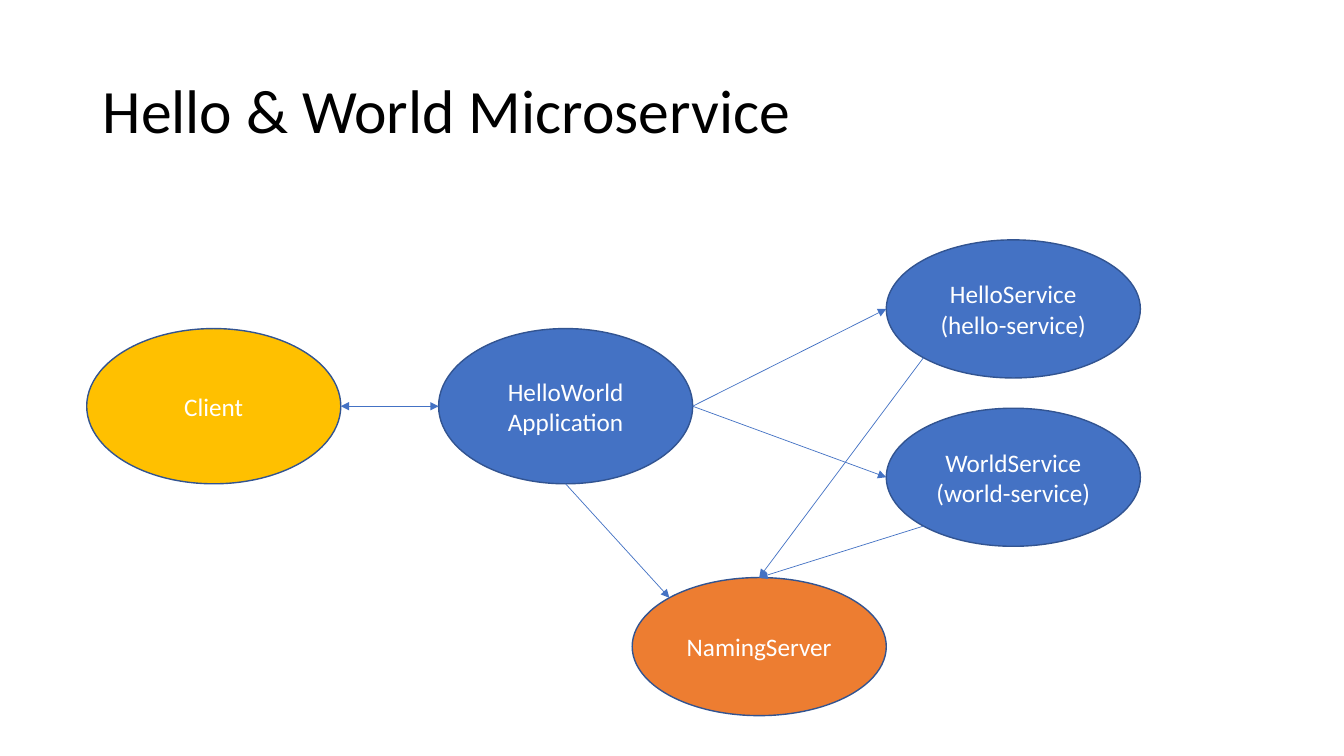
import math

import pptx
import pptx.dml.color
import pptx.enum.shapes
import pptx.enum.text
import pptx.oxml
import pptx.oxml.ns
import pptx.util

Inches = pptx.util.Inches
COLORS = {
    "title": "000000", "label": "FFFFFF", "outline": "325491", "arrow": "4472C4",
    "service": "4472C4", "client": "FFC000", "naming": "ED7D31",
}
TITLE_FORMAT = {"name": "Calibri", "size": pptx.util.Pt(44)}
LABEL_FORMAT = {"name": "Calibri", "size": pptx.util.Pt(18)}
NODE_WIDTH, TALL, SHORT = 2.52, 1.54, 1.37
NODES = {
    "hello": (7.93, 0, SHORT, "service", ["HelloService", "(hello-service)"]),
    "world": (7.93, 1.67, SHORT, "service", ["WorldService", "(world-service)"]),
    "naming": (5.41, 3.35, SHORT, "naming", ["NamingServer"]),
    "application": (3.49, 0.88, TALL, "service", ["HelloWorld", "Application"]),
    "client": (0, 0.88, TALL, "client", ["Client"]),
}
ANGLES = {"right": 0, "bottom": 90, "bottom left": 135, "left": 180, "top left": 225, "top": 270}
CALLS = [
    ("hello", "bottom left", "naming", "top", ["tailEnd"]),
    ("world", "bottom left", "naming", "top", ["tailEnd"]),
    ("application", "bottom", "naming", "top left", ["tailEnd"]),
    ("application", "right", "hello", "left", ["tailEnd"]),
    ("application", "right", "world", "left", ["tailEnd"]),
    ("client", "right", "application", "left", ["headEnd", "tailEnd"]),
]


def rgb(role):
    """Return the colour for a role."""
    return pptx.dml.color.RGBColor.from_string(COLORS[role])


def write_lines(frame, lines, text_format, role, align, spacing):
    """Write vertically centred paragraphs with one shared format."""
    frame.word_wrap = True
    frame.vertical_anchor = pptx.enum.text.MSO_ANCHOR.MIDDLE
    for index, line in enumerate(lines):
        paragraph = frame.add_paragraph() if index else frame.paragraphs[0]
        paragraph.alignment = align
        paragraph.line_spacing = spacing
        run = paragraph.add_run()
        run.text = line
        for attribute, value in text_format.items():
            setattr(run.font, attribute, value)
        run.font.color.rgb = rgb(role)


def add_title(slide, left, top, width, height):
    """Place the slide title in the given box."""
    title = slide.shapes.add_textbox(Inches(left), Inches(top), Inches(width), Inches(height))
    write_lines(title.text_frame, ["Hello & World Microservice"], TITLE_FORMAT, "title",
                pptx.enum.text.PP_ALIGN.LEFT, 0.9)


def add_node(slide, left, top, height, role, lines):
    """Place one labelled ellipse."""
    node = slide.shapes.add_shape(pptx.enum.shapes.MSO_SHAPE.OVAL, Inches(left), Inches(top),
                                  Inches(NODE_WIDTH), Inches(height))
    node.shadow.inherit = False
    node.fill.solid()
    node.fill.fore_color.rgb = rgb(role)
    node.line.color.rgb = rgb("outline")
    node.line.width = pptx.util.Pt(1)
    write_lines(node.text_frame, lines, LABEL_FORMAT, "label",
                pptx.enum.text.PP_ALIGN.CENTER, 1.0)
    return node


def rim_point(node, side):
    """Return the point on an ellipse's rim at the named side."""
    angle = math.radians(ANGLES[side])
    return (round(node.left + node.width * (1 + math.cos(angle)) / 2),
            round(node.top + node.height * (1 + math.sin(angle)) / 2))


def add_arrow(slide, start, end, heads):
    """Draw a thin line with triangle heads between two points."""
    arrow = slide.shapes.add_connector(pptx.enum.shapes.MSO_CONNECTOR.STRAIGHT, *start, *end)
    arrow.line.color.rgb = rgb("arrow")
    arrow.line.width = pptx.util.Pt(0.5)
    outline = arrow.line._get_or_add_ln()
    for head in heads:
        end_mark = pptx.oxml.parse_xml(f'<a:{head} {pptx.oxml.ns.nsdecls("a")} type="triangle"/>')
        outline.append(end_mark)
    effects = pptx.oxml.parse_xml(f'<a:effectLst {pptx.oxml.ns.nsdecls("a")}/>')
    outline.getparent().append(effects)


def add_service_map(slide, left, top):
    """Place the services and their calls from the given corner."""
    nodes = {key: add_node(slide, left + x, top + y, height, role, lines)
             for key, (x, y, height, role, lines) in NODES.items()}
    for caller, exit_side, callee, entry_side, heads in CALLS:
        add_arrow(slide, rim_point(nodes[caller], exit_side),
                  rim_point(nodes[callee], entry_side), heads)


def main():
    """Build and save the slide."""
    deck = pptx.Presentation()
    deck.slide_width, deck.slide_height = Inches(13.33), Inches(7.5)
    slide = deck.slides.add_slide(deck.slide_layouts[6])
    add_title(slide, 0.92, 0.4, 11.5, 1.45)
    add_service_map(slide, 0.86, 2.38)
    deck.save("out.pptx")


if __name__ == "__main__":
    main()
